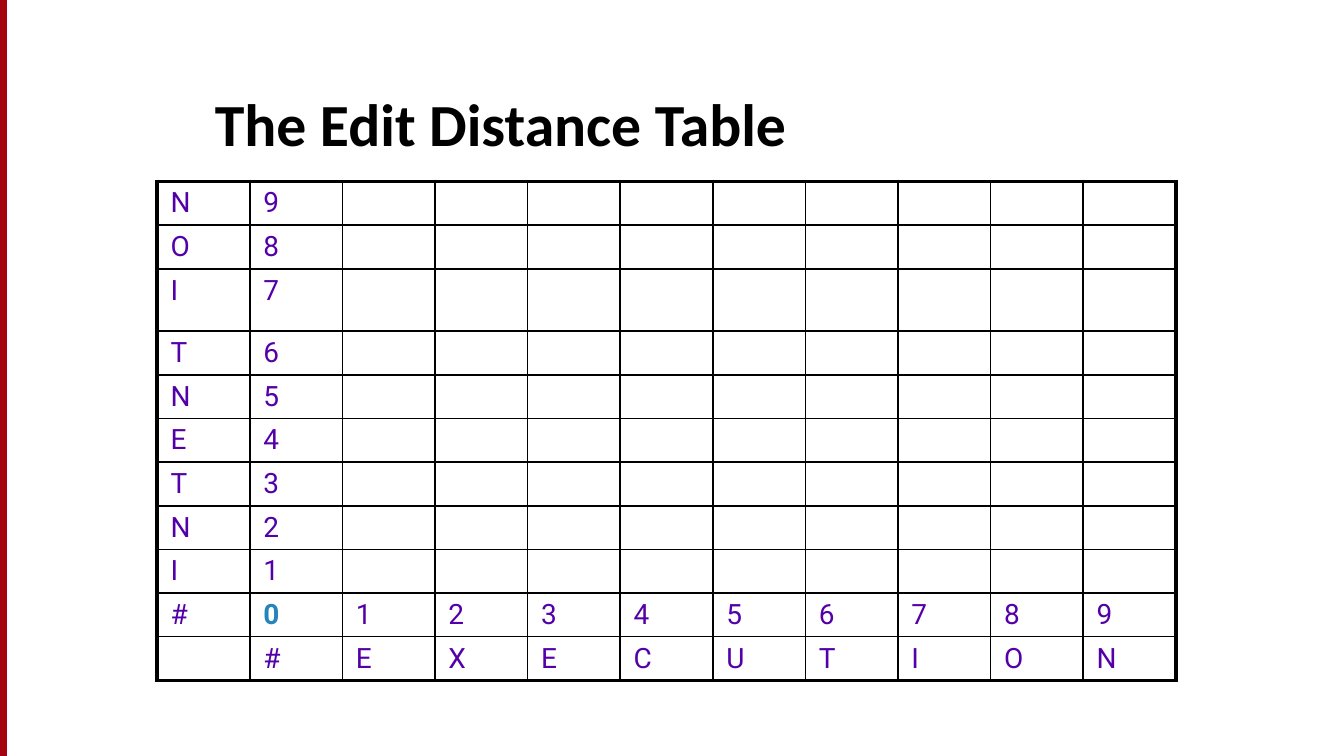
import pptx
import pptx.dml.color
import pptx.enum.shapes
import pptx.enum.text
import pptx.oxml.ns
import pptx.util
from lxml import etree
from pptx.util import Inches

SOURCE_WORD = "INTENTION"
TARGET_WORD = "EXECUTION"
PURPLE, BLUE, BLACK = "5400A8", "2584BB", "000000"
TALL_ROW = 2


def color(hex_string):
    return pptx.dml.color.RGBColor.from_string(hex_string)


def add_run(paragraph, text, font, size, hex_string, bold=False):
    run = paragraph.add_run()
    run.text = text
    run.font.name = font
    run.font.size = pptx.util.Pt(size)
    run.font.bold = bold
    run.font.color.rgb = color(hex_string)


def add_element(parent, tag, **attributes):
    return etree.SubElement(parent, pptx.oxml.ns.qn(tag), attributes)


def set_borders(cell, widths):
    properties = cell._tc.get_or_add_tcPr()
    for side, width in widths.items():
        line = add_element(properties, "a:ln" + side, w=str(pptx.util.Pt(width)))
        fill = add_element(line, "a:solidFill")
        add_element(fill, "a:srgbClr", val=BLACK)


def draw_side_bar(slide, left, top, width, height):
    bar = slide.shapes.add_shape(
        pptx.enum.shapes.MSO_SHAPE.RECTANGLE, left, top, width, height)
    bar.shadow.inherit = False
    bar.fill.solid()
    bar.fill.fore_color.rgb = color("A40508")
    bar.line.color.rgb = color("A4001D")
    bar.line.width = pptx.util.Pt(0.75)


def draw_title(slide, left, top, width, height):
    frame = slide.shapes.add_textbox(left, top, width, height).text_frame
    frame.word_wrap = True
    frame.vertical_anchor = pptx.enum.text.MSO_ANCHOR.BOTTOM
    add_run(frame.paragraphs[0], "The Edit Distance Table", "Calibri", 32, BLACK, True)


def distance_rows():
    """Source word upwards in the first column, target word along the bottom."""
    blanks = [""] * len(TARGET_WORD)
    rows = [[letter, str(index), *blanks]
            for index, letter in enumerate(SOURCE_WORD, 1)][::-1]
    rows.append(["#", *(str(index) for index in range(len(TARGET_WORD) + 1))])
    rows.append(["", "#", *TARGET_WORD])
    return rows


def draw_distance_table(slide, left, top, width, height):
    rows = distance_rows()
    last_row, last_column = len(rows) - 1, len(rows[0]) - 1
    table = slide.shapes.add_table(
        len(rows), len(rows[0]), left, top, width, height).table
    table.first_row = table.horz_banding = False

    # One row is taller than the rest
    extra = Inches(0.14)
    for index, row in enumerate(table.rows):
        row.height = (height - extra) // len(rows) + (extra if index == TALL_ROW else 0)
    for column in table.columns:
        column.width = width // len(rows[0])

    # Cells: thick outer frame, thin inner grid
    for row_index, values in enumerate(rows):
        for column_index, text in enumerate(values):
            cell = table.cell(row_index, column_index)
            cell.margin_left = cell.margin_right = Inches(0.1)
            cell.margin_top = cell.margin_bottom = Inches(0.04)
            outer = {"L": column_index == 0, "R": column_index == last_column,
                     "T": row_index == 0, "B": row_index == last_row}
            set_borders(cell, {side: 2.25 if edge else 1 for side, edge in outer.items()})
            cell.fill.background()
            paragraph = cell.text_frame.paragraphs[0]
            if text:
                origin = text == "0"
                add_run(paragraph, text, "Roboto", 15, BLUE if origin else PURPLE, origin)
            else:
                # Blank cells keep the font, so that rows do not grow
                ending = add_element(paragraph._p, "a:endParaRPr", sz="1500")
                add_element(ending, "a:latin", typeface="Roboto")


presentation = pptx.Presentation()
presentation.slide_width = Inches(10)
presentation.slide_height = presentation.slide_width * 9 // 16
slide = presentation.slides.add_slide(presentation.slide_layouts[6])

draw_side_bar(slide, Inches(0), Inches(0), Inches(0.05), presentation.slide_height)
draw_distance_table(slide, Inches(1.17), Inches(1.35), Inches(7.58), Inches(3.71))
draw_title(slide, Inches(1.5), Inches(0.42), Inches(8.17), Inches(0.81))

presentation.save("out.pptx")
